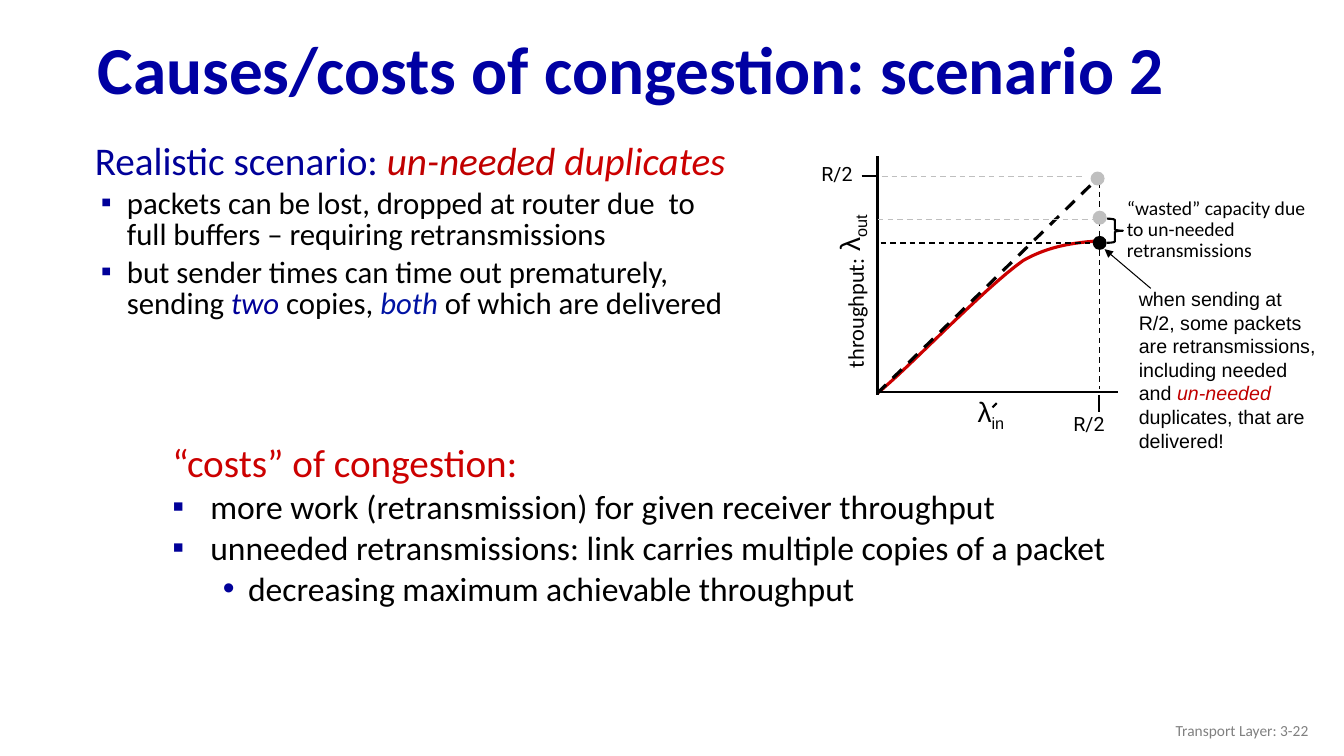
from lxml import etree
from pptx import Presentation
from pptx.dml.color import RGBColor
from pptx.enum.dml import MSO_LINE
from pptx.enum.shapes import MSO_CONNECTOR, MSO_SHAPE
from pptx.enum.text import MSO_ANCHOR, MSO_AUTO_SIZE, PP_ALIGN
from pptx.oxml.ns import qn
from pptx.util import Pt

DASH = MSO_LINE.DASH
LINE = MSO_CONNECTOR.STRAIGHT
OVAL, BRACE = MSO_SHAPE.OVAL, MSO_SHAPE.RIGHT_BRACE
MIDDLE, TOP = MSO_ANCHOR.MIDDLE, MSO_ANCHOR.TOP
LEFT, RIGHT = PP_ALIGN.LEFT, PP_ALIGN.RIGHT
FIT, FIXED = MSO_AUTO_SIZE.SHAPE_TO_FIT_TEXT, MSO_AUTO_SIZE.NONE

COLORS = {
    "title": "0000A3", "navy": "000099", "blue": "0013A3", "red": "CC0000",
    "dark": "C00000", "black": "000000", "gray": "BFBFBF", "foot": "808080",
}

# Runs are (text, colour, style); colour None keeps that of the paragraph.
TITLE = "Causes/costs of congestion: scenario 2"
# Paragraphs are (runs, size, colour, bullet, left margin, hanging indent)
SCENE = [
    ([("Realistic scenario: ", None, ""), ("un-needed ", "dark", "i"),
      ("duplicates", "red", "i")], 28, "navy", None, 27, 27),
    ([("packets can be lost, dropped at router due  to full buffers – "
       "requiring retransmissions", None, "")], 22, "black", "▪", 23, 18.7),
    ([("but sender times can time out prematurely, sending ", None, ""),
      ("two ", "navy", "i"), ("copies, ", None, ""), ("both", "blue", "i"),
      (" of which are delivered", None, "")], 22, "black", "▪", 23, 18.7),
]
COSTS = [
    ([("“costs” of congestion:", None, "")], 28, "red", None, 27, 27),
    ([("more work (retransmission) for given receiver throughput", None, "")],
     24, "black", "▪", 27, 27),
    ([("unneeded retransmissions: link carries multiple copies of a packet",
       None, "")], 24, "black", "▪", 27, 27),
    ([("decreasing maximum achievable throughput", None, "")],
     24, "black", "•", 54, 18),
]
WASTE = [("“wasted” capacity due to un-needed retransmissions", None, "")]
SENDING = [
    ("when sending at R/2, some packets are retransmissions, including "
     "needed and ", None, ""),
    ("un-needed", "dark", "i"), (" duplicates, that are delivered!", None, ""),
]
HALF = [("R/2", None, "")]
LOAD = [("λ", None, ""), ("in", None, "sub")]
OUTPUT = [("λ", None, ""), ("out", None, "sub")]
RATE = [("throughput:", None, "")]
FOOTER = [("Transport Layer: 3-22", None, "")]

# Plot: axes, right limit and the three throughput levels
X0, Y0, XMAX = 627, 280, 785.5
FULL, WASTED, REACHED = 126, 157, 173.5
CURVE = [
    [(626.5, 281), (646.5, 265.5), (702.5, 206), (731, 186)],
    [(731, 186), (744.5, 178.5), (759.5, 173.5), (786, 172)],
]
STEPS = 16
DOT = 10

# (x1, y1, x2, y2, colour, width, dashed)
LINES = [
    (X0, 111.5, X0, 282, "black", 2, False),
    (X0, Y0, 798.5, Y0, "black", 2, False),
    (XMAX, 130, XMAX, 278, "black", 1, True),
    (626.5, 281, XMAX, FULL, "black", 2.25, True),
    (615.5, FULL, X0, FULL, "black", 1.5, False),
    (785, 282, 785, 294.5, "black", 1.5, False),
    (709, 291, 712, 288, "black", 1.5, False),
    (630, FULL, 775, FULL, "gray", 1, True),
    (X0, WASTED, 782.5, WASTED, "gray", 1, True),
    (629, REACHED, 785, REACHED, "black", 1, True),
]
DOTS = [(784, 127.5, "gray"), (785.5, 155.5, "gray"), (785.5, 173.5, "black")]
# (box, runs, size, font, wrap, line spacing, rotation)
NOTES = [
    ((806.4, 201.6, 141.8, 126), SENDING, 14, "Arial", True, 1, 0),
    ((797.8, 138.2, 143.3, 53.3), WASTE, 14, "Calibri", True, 0.9, 0),
    ((691.2, 278.6, 36, 31.7), LOAD, 20, "Arial", False, 1, 0),
    ((581.8, 122.4, 73.4, 55.4), OUTPUT, 20, "Arial", False, 1, 270),
    ((562.3, 208.1, 97.2, 26.6), RATE, 16, "Calibri", False, 1, 270),
    ((579.6, 112.3, 64.1, 40.3), HALF, 14, "Roboto", False, 1, 0),
    ((759.6, 290.9, 64.1, 40.3), HALF, 14, "Roboto", False, 1, 0),
]


def rgb(name):
    return RGBColor.from_string(COLORS[name])


def place(shape, box):
    shape.left, shape.top, shape.width, shape.height = map(Pt, box)


def write(para, runs, size, font, color):
    para.font.size, para.font.name = Pt(size), font
    para.font.color.rgb = rgb(color)
    for text, tint, style in runs:
        run = para.add_run()
        run.text = text
        if tint:
            run.font.color.rgb = rgb(tint)
        if style == "i":
            run.font.italic = True
        elif style == "sub":
            run.font._element.set("baseline", "-25000")


def bullet(para, mark, margin, hang):
    props = para._p.get_or_add_pPr()
    props.set("marL", str(Pt(margin)))
    props.set("indent", str(-Pt(hang)))
    parts = []
    if mark:
        tint = etree.Element(qn("a:buClr"))
        etree.SubElement(tint, qn("a:srgbClr"), val=COLORS["navy"])
        parts = [tint, etree.Element(qn("a:buFont"), typeface="Arial"),
                 etree.Element(qn("a:buChar"), char=mark)]
    else:
        parts = [etree.Element(qn("a:buNone"))]
    rest = props.find(qn("a:defRPr"))
    for part in parts:
        rest.addprevious(part)


def fill_list(holder, box, items):
    place(holder, box)
    frame = holder.text_frame
    frame.auto_size, frame.vertical_anchor = FIXED, TOP
    for i, (runs, size, color, mark, margin, hang) in enumerate(items):
        para = frame.add_paragraph() if i else frame.paragraphs[0]
        para.level = 1 if mark == "•" else 0
        para.line_spacing, para.space_before = 0.85, Pt(size * 0.2)
        para.space_after = Pt(0)
        write(para, runs, size, "Calibri", color)
        bullet(para, mark, margin, hang)


def add_line(shapes, x1, y1, x2, y2, color, width, dashed):
    line = shapes.add_connector(LINE, Pt(x1), Pt(y1), Pt(x2), Pt(y2))
    line.line.color.rgb, line.line.width = rgb(color), Pt(width)
    if dashed:
        line.line.dash_style = DASH
    etree.SubElement(line._element.spPr, qn("a:effectLst"))
    return line


def add_note(shapes, box, runs, size, font, wrap, spacing, turn):
    note = shapes.add_textbox(*map(Pt, box))
    note.rotation = turn
    frame = note.text_frame
    frame.word_wrap, frame.auto_size = wrap, FIT
    frame.paragraphs[0].line_spacing = spacing
    write(frame.paragraphs[0], runs, size, font, "black")


def bezier(p, t):
    weights = ((1 - t) ** 3, 3 * t * (1 - t) ** 2, 3 * t * t * (1 - t), t ** 3)
    return tuple(Pt(sum(w * q[k] for w, q in zip(weights, p))) for k in (0, 1))


def draw_plot(shapes):
    points = [bezier(part, i / STEPS) for part in CURVE
              for i in range(STEPS + 1)]
    path = shapes.build_freeform(*points[0])
    path.add_line_segments(points[1:], close=False)
    curve = path.convert_to_shape()
    brace = shapes.add_shape(BRACE, *map(Pt, (790.6, 156.2, 11.5, 17.3)))
    for shape, color, width in ((curve, "red", 2.25), (brace, "black", 1.5)):
        shape.shadow.inherit = False
        shape.fill.background()
        shape.line.color.rgb, shape.line.width = rgb(color), Pt(width)
    for line in LINES:
        add_line(shapes, *line)
    for x, y, color in DOTS:
        box = (x - DOT / 2, y - DOT / 2, DOT, DOT)
        dot = shapes.add_shape(OVAL, *map(Pt, box))
        dot.shadow.inherit = False
        dot.fill.solid()
        dot.fill.fore_color.rgb = rgb(color)
        dot.line.fill.background()
    arrow = add_line(shapes, 822, 206, 789, 178, "black", 0.75, False)
    etree.SubElement(arrow.line._get_or_add_ln(), qn("a:tailEnd"),
                     type="triangle")
    for note in NOTES:
        add_note(shapes, *note)


def main():
    deck = Presentation()
    deck.slide_width, deck.slide_height = Pt(960), Pt(540)
    slide = deck.slides.add_slide(deck.slide_layouts[3])
    title, scene, costs = slide.placeholders
    place(title, (62.6, 16.6, 897, 70.6))
    title.text_frame.auto_size = FIXED
    title.text_frame.vertical_anchor = MIDDLE
    para = title.text_frame.paragraphs[0]
    para.alignment, para.line_spacing, para.font.bold = LEFT, 0.9, True
    write(para, [(TITLE, None, "")], 48, "Calibri", "title")
    fill_list(scene, (60.5, 98.6, 468, 164), SCENE)
    fill_list(costs, (116, 314.6, 739.4, 170), COSTS)
    draw_plot(slide.shapes)
    foot = slide.shapes.add_textbox(*map(Pt, (725.8, 507.6, 216, 28.8)))
    foot.text_frame.word_wrap = True
    foot.text_frame.vertical_anchor = MIDDLE
    para = foot.text_frame.paragraphs[0]
    para.alignment = RIGHT
    write(para, FOOTER, 11, "Calibri", "foot")
    deck.save("out.pptx")


if __name__ == "__main__":
    main()
